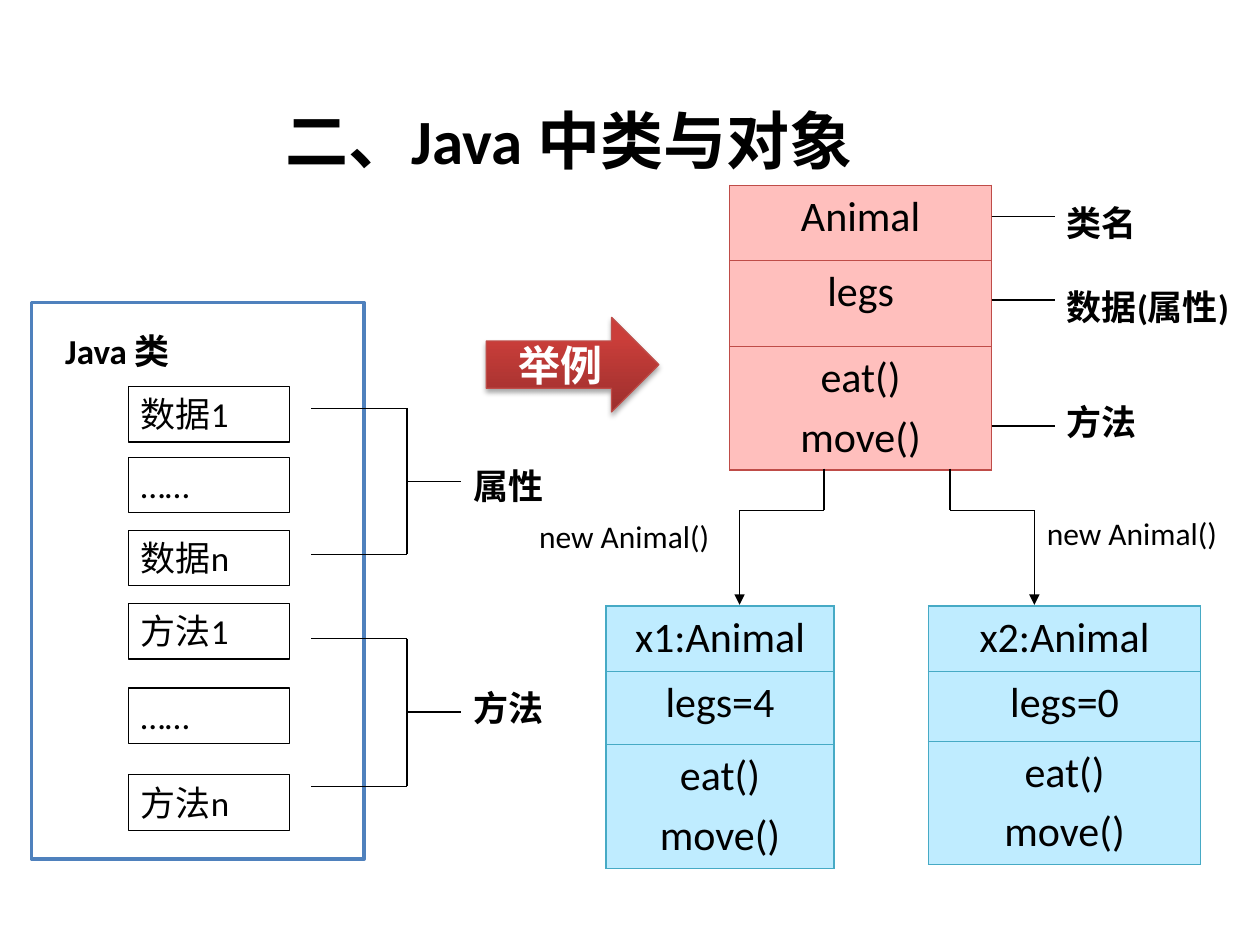
"""Build a slide on Java classes and objects."""
from lxml import etree
from pptx import Presentation
from pptx.dml.color import RGBColor
from pptx.enum import shapes, text
from pptx.oxml import ns
from pptx.util import Pt

THEME = dict(font="Calibri", ink="000000", paper="FFFFFF", frame="4F81BD",
             red="BF4C48", pink="FFBFBD", teal="46AAC5", sky="BFECFF",
             dark="9C2F2D", bright="CB3E3A",
             title=36, big=24, body=20, small=18, thin=0.75, thick=2)

LABELS = [
    ("二、Java 中类与对象", 156.2, 54.7, 396.7, 51, "title", True),
    ("Java 类", 30.2, 185, 135.4, 31.5, "body", True),
    ("属性", 263.5, 262, 73.4, 31.5, "body", True),
    ("方法", 263.5, 388.8, 61.2, 31.5, "body", True),
    ("类名", 602.6, 111.6, 59.8, 31.5, "body", True),
    ("数据(属性)", 602.6, 159.8, 120.2, 31.5, "body", True),
    ("方法", 602.6, 225.4, 90, 31.5, "body", True),
    ("new Animal()", 591.1, 290.2, 131.8, 29, "small", False),
    ("new Animal()", 301, 291.6, 131.8, 29, "small", False),
]
MEMBERS = [("数据1", 221), ("……", 261.4), ("数据n", 303.1),
           ("方法1", 344.9), ("……", 393.1), ("方法n", 442.8)]
BRACES = [(233.3, 275, 316.8), (365, 406.8, 449.3)]
TICKS = [123.8, 171.4, 243.4]
FORKS = [(470.9, 422.6), (542.9, 591.1)]
TABLES = [
    (["Animal", "legs", "eat()\nmove()"], 416.9, 105.8, 149.8, [43.2, 49, 69.6], "red", "pink"),
    (["x2:Animal", "legs=0", "eat()\nmove()"], 530.6, 346.3, 155.5, [37.4, 39.8, 69.6], "teal", "sky"),
    (["x1:Animal", "legs=4", "eat()\nmove()"], 346.3, 346.3, 130.3, [37.4, 41.8, 69.6], "teal", "sky"),
]

deck = Presentation()
deck.slide_width, deck.slide_height = Pt(720), Pt(540)
slide = deck.slides.add_slide(deck.slide_layouts[6])
parts = slide.shapes


def tint(name):
    return RGBColor.from_string(THEME[name])


def node(base, tag, **attrs):
    return etree.SubElement(base, ns.qn("a:" + tag), attrs)


def write(frame, words, size, bold=False, color="ink", align=text.PP_ALIGN.LEFT):
    frame.text = words
    frame.word_wrap = True
    for num, para in enumerate(frame.paragraphs):
        para.alignment = align
        if num:
            para.space_before = Pt(THEME[size] * 0.2)
        for run in para.runs:
            font = run.font
            font.name, font.size, font.bold = THEME["font"], Pt(THEME[size]), bold
            font.color.rgb = tint(color)


def shape(kind, x, y, w, h, line, width):
    item = parts.add_shape(kind, Pt(x), Pt(y), Pt(w), Pt(h))
    item.shadow.inherit = False
    item.fill.background()
    item.line.color.rgb = tint(line)
    item.line.width = Pt(THEME[width])
    return item


def link(x1, y1, x2, y2, head=False):
    item = parts.add_connector(shapes.MSO_CONNECTOR.STRAIGHT, Pt(x1), Pt(y1), Pt(x2), Pt(y2))
    item.line.color.rgb = tint("ink")
    item.line.width = Pt(THEME["thin"])
    if head:
        node(item.line._get_or_add_ln(), "tailEnd", type="triangle")
    node(item._element.spPr, "effectLst")


def grid(rows, x, y, w, highs, edge, fill):
    table = parts.add_table(len(rows), 1, Pt(x), Pt(y), Pt(w), Pt(sum(highs))).table
    table.first_row = table.horz_banding = False
    for num, (words, high) in enumerate(zip(rows, highs)):
        table.rows[num].height = Pt(high)
        cell = table.cell(num, 0)
        write(cell.text_frame, words, "big", align=text.PP_ALIGN.CENTER)
        props = cell._tc.get_or_add_tcPr()
        for side in ("lnL", "lnR", "lnT", "lnB"):
            line = node(props, side, w=str(Pt(THEME["thin"])))
            node(node(line, "solidFill"), "srgbClr", val=THEME[edge])
        cell.fill.solid()
        cell.fill.fore_color.rgb = tint(fill)


frame = shape(shapes.MSO_SHAPE.RECTANGLE, 18, 172.8, 190.1, 318.2, "frame", "thick")
frame.fill.solid()
frame.fill.fore_color.rgb = tint("paper")

for words, y in MEMBERS:
    box = shape(shapes.MSO_SHAPE.RECTANGLE, 73.4, y, 92.2, 31.7, "ink", "thin")
    box.text_frame.vertical_anchor = text.MSO_ANCHOR.TOP
    write(box.text_frame, words, "body")

for top, mid, low in BRACES:
    link(177.8, top, 232.6, top)
    link(232.6, top, 232.6, low)
    link(232.6, low, 177.8, low)
    link(232.6, mid, 263.5, mid)

for row in TABLES:
    grid(*row)
for y in TICKS:
    link(566.6, y, 602.6, y)
for start, end in FORKS:
    link(start, 267.8, start, 291.6)
    link(start, 291.6, end, 291.6)
    link(end, 291.6, end, 345.6, True)

arrow = shape(shapes.MSO_SHAPE.RIGHT_ARROW, 277.9, 181.4, 98.6, 54, "red", "thin")
arrow.fill.gradient()
arrow.fill.gradient_angle = 90
for stop, name, place in zip(arrow.fill.gradient_stops, ("dark", "bright"), (0, 0.8)):
    stop.color.rgb, stop.position = tint(name), place
glow = arrow._element.spPr.find(ns.qn("a:effectLst"))
shade = node(glow, "outerShdw", blurRad=str(Pt(3.1)), dist=str(Pt(1.8)),
             dir="5400000", rotWithShape="0")
node(node(shade, "srgbClr", val=THEME["ink"]), "alpha", val="35000")
arrow.text_frame.vertical_anchor = text.MSO_ANCHOR.MIDDLE
write(arrow.text_frame, "举例", "big", True, "paper", text.PP_ALIGN.CENTER)

for words, x, y, w, h, size, bold in LABELS:
    label = parts.add_textbox(Pt(x), Pt(y), Pt(w), Pt(h))
    write(label.text_frame, words, size, bold)

deck.save("out.pptx")
